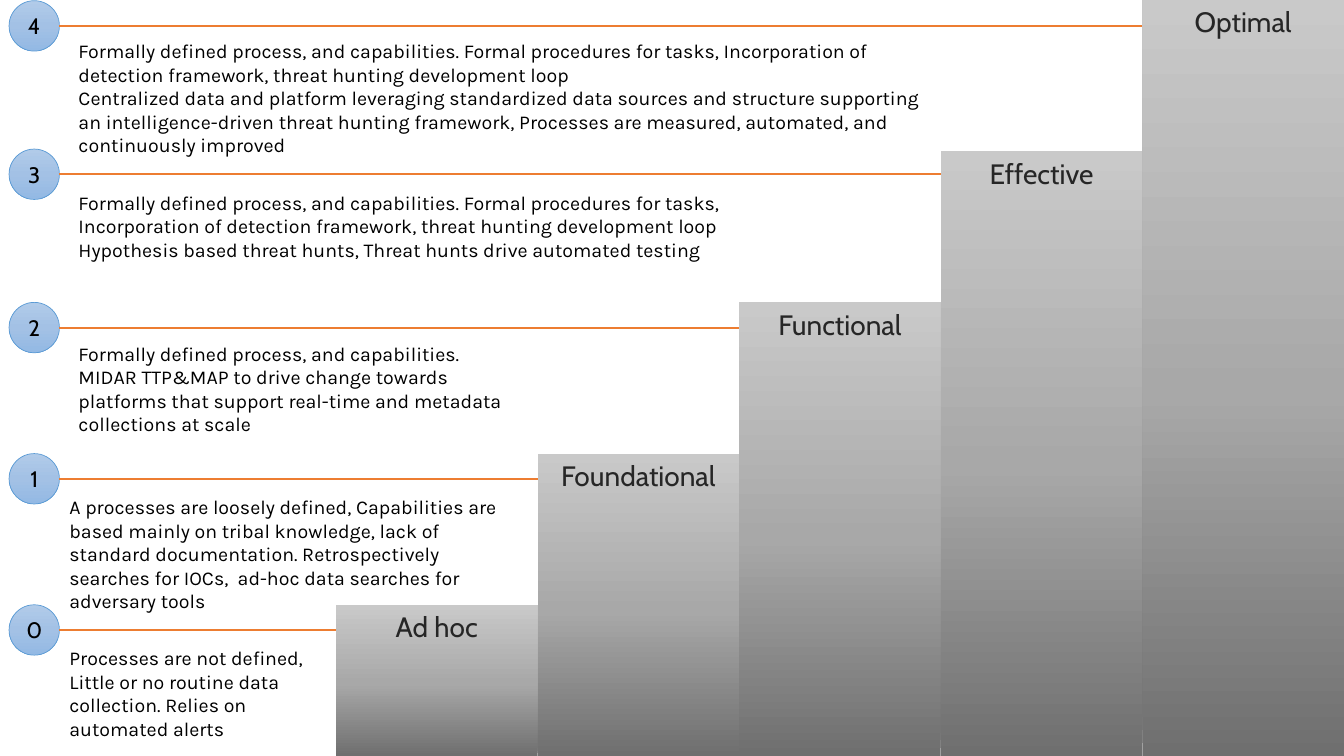
from copy import deepcopy
from dataclasses import dataclass

from pptx import Presentation
from pptx.dml.color import RGBColor
from pptx.enum.shapes import MSO_CONNECTOR as CONN, MSO_SHAPE as SHAPE
from pptx.enum.text import MSO_ANCHOR as ANCHOR, MSO_AUTO_SIZE as AUTO, PP_ALIGN as ALIGN
from pptx.oxml.ns import qn
from pptx.oxml.xmlchemy import OxmlElement
from pptx.util import Pt


@dataclass(frozen=True)
class Theme:
    head_font: str = "Cabin"
    body_font: str = "Karla"
    bar_size: int = 20
    badge_size: int = 16
    body_size: int = 14
    text: str = "000000"
    bar_text: str = "262626"
    rule: str = "ED7D31"
    badge_line: str = "5B9BD5"
    badge_fill: tuple = ((0, "B1CBE9"), (0.5, "A3C1E5"), (1, "93B9E4"))
    bar_fill: tuple = ((0, "6F6F6F"), (0.48, "A8A8A8"), (1, "C9C9C9"))


T = Theme()
SLIDE_W, SLIDE_H = 960, 540
STEP_W, STEP_H = 144, 108
BADGE_X, BADGE = 6.5, 36

PROCESS = "Formally defined process, and capabilities."
PROCEDURES = (PROCESS + " Formal procedures for tasks, Incorporation of detection "
              "framework, threat hunting development loop")

# Level name, badge offset from the step top, text box (x, y, width) in the step, paragraphs
LEVELS = [
    ("Ad hoc", 0, (42.5, 26, 189), [
        "Processes are not defined, Little or no routine data collection. "
        "Relies on automated alerts"]),
    ("Foundational", 0, (42.5, 26, 329), [
        "A processes are loosely defined, Capabilities are based mainly on tribal "
        "knowledge, lack of standard documentation. Retrospectively searches for IOCs,  "
        "ad-hoc data searches for adversary tools"]),
    ("Functional", 0, (49, 24.5, 335.5), [
        PROCESS,
        "MIDAR TTP&MAP to drive change towards platforms that support real-time "
        "and metadata collections at scale"]),
    ("Effective", -1.5, (49, 24.5, 479.5), [
        PROCEDURES,
        "Hypothesis based threat hunts, Threat hunts drive automated testing"]),
    ("Optimal", 0.5, (49, 24.5, 623.5), [
        PROCEDURES,
        "Centralized data and platform leveraging standardized data sources and structure "
        "supporting an intelligence-driven threat hunting framework, Processes are "
        "measured, automated, and continuously improved"]),
]


def rgb(code):
    return RGBColor.from_string(code)


def write(sp, paragraphs, *, font, size, color=T.text, align=ALIGN.LEFT, anchor=ANCHOR.TOP):
    tf = sp.text_frame
    tf.word_wrap = True
    tf.vertical_anchor = anchor
    for i, text in enumerate(paragraphs):
        p = tf.paragraphs[0] if i == 0 else tf.add_paragraph()
        p.alignment = align
        r = p.add_run()
        r.text = text
        r.font.name, r.font.size = font, Pt(size)
        r.font.color.rgb = rgb(color)
    return tf


def fill_gradient(sp, stops, angle):
    sp.fill.gradient()
    sp.fill.gradient_angle = angle
    stop_list = sp._element.spPr.find(".//" + qn("a:gsLst"))
    while len(stop_list) < len(stops):
        stop_list.append(deepcopy(stop_list[0]))
    for stop, (position, color) in zip(sp.fill.gradient_stops, stops):
        stop.position = position
        stop.color.rgb = rgb(color)


def add_preset(shapes, kind, x, y, w, h):
    sp = shapes.add_shape(kind, Pt(x), Pt(y), Pt(w), Pt(h))
    sp.shadow.inherit = False
    return sp


def add_marker(s, number, x, y, right):
    """Numbered badge with a rule running to the bar."""
    group = s.shapes.add_group_shape()
    badge = add_preset(group.shapes, SHAPE.OVAL, x, y, BADGE, BADGE)
    fill_gradient(badge, T.badge_fill, 270)
    badge.line.color.rgb = rgb(T.badge_line)
    badge.line.width = Pt(0.5)
    write(badge, [str(number)], font=T.head_font, size=T.badge_size,
          align=ALIGN.CENTER, anchor=ANCHOR.MIDDLE)

    mid = y + BADGE / 2
    rule = group.shapes.add_connector(CONN.STRAIGHT, Pt(x + BADGE), Pt(mid), Pt(right), Pt(mid))
    rule.line.color.rgb = rgb(T.rule)
    rule.line.width = Pt(1.5)
    rule._element.spPr.append(OxmlElement("a:effectLst"))


def add_bar(s, name, x, y, w, h):
    bar = add_preset(s.shapes, SHAPE.RECTANGLE, x, y, w, h)
    fill_gradient(bar, T.bar_fill, 90)
    bar.line.fill.background()
    write(bar, [name], font=T.head_font, size=T.bar_size, color=T.bar_text, align=ALIGN.CENTER)


def add_description(s, paragraphs, x, y, w, h):
    box = s.shapes.add_textbox(Pt(x), Pt(y), Pt(w), Pt(h))
    tf = write(box, paragraphs, font=T.body_font, size=T.body_size)
    tf.auto_size = AUTO.SHAPE_TO_FIT_TEXT


def add_staircase(s, x, y, w, h):
    """One step per maturity level, rising to the right edge of the box."""
    first_bar = x + w - len(LEVELS) * STEP_W
    for number, (name, nudge, (dx, dy, text_w), paragraphs) in enumerate(LEVELS):
        bar_x = first_bar + number * STEP_W
        top = y + h - (number + 1) * STEP_H
        add_marker(s, number, x + BADGE_X, top + nudge, bar_x)
        add_bar(s, name, bar_x, top, STEP_W, y + h - top)
        add_description(s, paragraphs, x + dx, top + dy, text_w, 75)


prs = Presentation()
prs.slide_width, prs.slide_height = Pt(SLIDE_W), Pt(SLIDE_H)
s = prs.slides.add_slide(prs.slide_layouts[6])
add_staircase(s, 0, 0, SLIDE_W, SLIDE_H)
prs.save("out.pptx")
